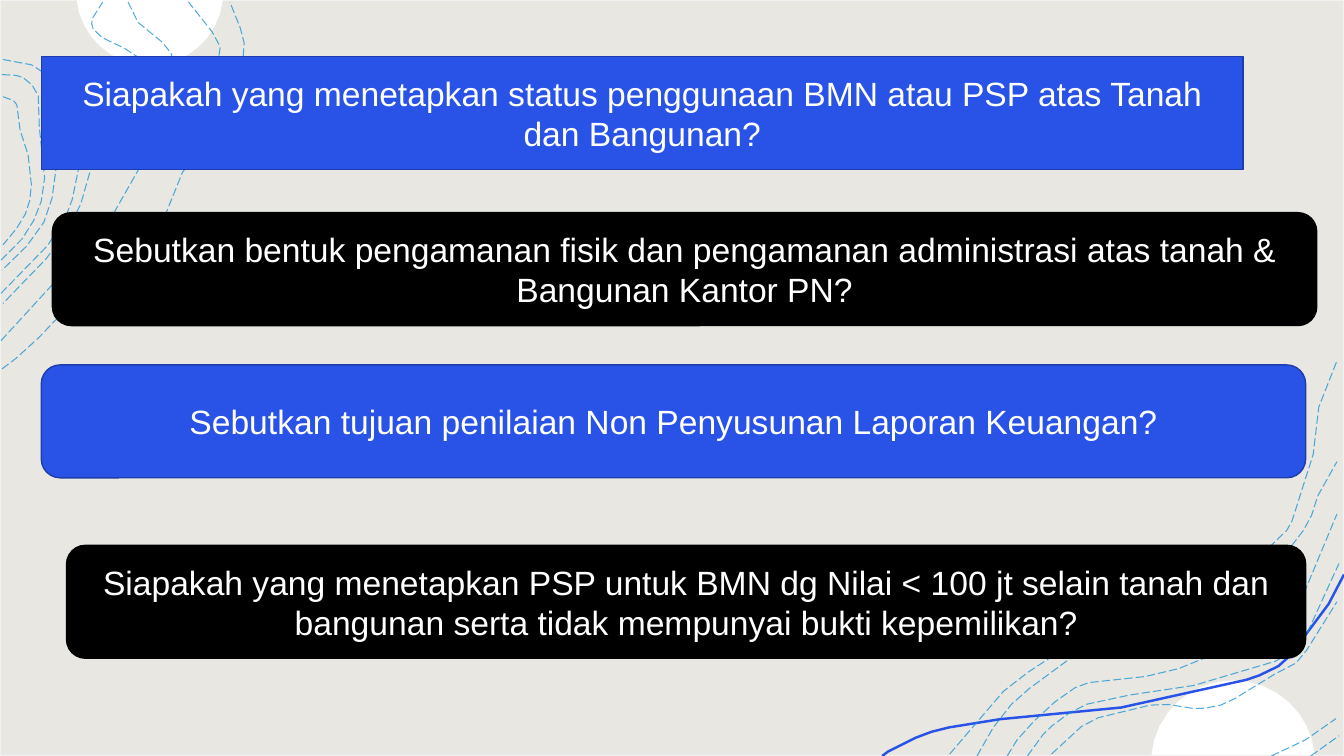
import math

from lxml import etree
from pptx import Presentation
from pptx.dml.color import RGBColor
from pptx.enum import dml, shapes, text
from pptx.oxml.ns import qn
from pptx.util import Inches, Pt

PAPER = RGBColor(0xE8, 0xE7, 0xE2)
PAPER_EDGE = RGBColor(0xF2, 0xF2, 0xF2)
WHITE = RGBColor(0xFF, 0xFF, 0xFF)
BLACK = RGBColor(0, 0, 0)
BLUE = RGBColor(0x29, 0x53, 0xE7)
DARK_BLUE = RGBColor(0x1E, 0x3D, 0xAB)
CONTOUR_BLUE = RGBColor(0x17, 0x91, 0xD5)

SLIDE_BOX = (0, 0, 13.33, 7.5)
RECT = shapes.MSO_SHAPE.RECTANGLE
ROUNDED = shapes.MSO_SHAPE.ROUNDED_RECTANGLE

# Points that each curve passes through, in inches from the slide corner
TOP_LEFT_CONTOURS = [
    [(0.02, 3.66), (0.2, 3.52), (0.55, 3.19), (0.66, 3.05), (0.86, 2.9), (1.11, 2.77),
     (1.27, 2.69), (1.41, 2.54), (1.6, 2.23), (1.81, 1.71), (2.01, 1.46), (2.19, 1.2),
     (2.36, 0.91), (2.42, 0.53), (2.4, 0.33), (2.28, 0.02)],
    [(0.01, 3.38), (0.21, 3.17), (0.5, 2.84), (0.73, 2.6), (1.08, 2.19), (1.37, 1.68),
     (1.54, 1.49), (1.83, 1.22), (2.06, 0.91), (2.18, 0.56), (2.14, 0.37), (1.87, 0.02)],
    [(1.27, 0.02), (1.35, 0.19), (1.41, 0.26), (1.65, 0.46), (1.74, 0.67), (1.69, 0.89),
     (1.55, 1.08), (1.36, 1.2), (1.16, 1.28), (1.04, 1.38), (0.95, 1.52), (0.88, 1.73),
     (0.78, 2.08), (0.6, 2.38), (0.42, 2.61), (0.03, 3.01)],
    [(0.01, 2.91), (0.35, 2.57), (0.56, 2.32), (0.7, 2.04), (0.78, 1.65), (0.84, 1.38),
     (0.92, 1.15), (1.01, 1.06), (1.24, 1.03), (1.4, 0.98), (1.51, 0.81), (1.49, 0.69),
     (1.38, 0.57), (1.2, 0.46), (0.98, 0.35), (0.91, 0.21), (1.02, 0.02)],
    [(0.03, 0.59), (0.28, 0.63), (0.44, 0.73), (0.52, 0.86), (0.55, 1.04), (0.55, 1.32),
     (0.56, 1.68), (0.48, 2.1), (0.31, 2.39), (0.02, 2.68)],
    [(0.02, 0.74), (0.23, 0.77), (0.38, 0.95), (0.39, 1.26), (0.43, 1.55), (0.44, 1.81),
     (0.38, 2.09), (0.22, 2.37), (0.01, 2.58)],
    [(0.03, 0.96), (0.15, 1.01), (0.18, 1.12), (0.2, 1.29), (0.28, 1.54), (0.31, 1.89),
     (0.23, 2.17), (0.03, 2.43)],
]
BOTTOM_RIGHT_CONTOURS = [
    [(9.42, 7.48), (9.71, 7.13), (10.02, 6.8), (10.56, 6.43), (10.78, 6.3), (10.98, 6.25),
     (11.13, 6.26), (11.37, 6.29), (11.55, 6.19), (11.73, 6.06), (12, 5.96), (12.24, 5.85),
     (12.4, 5.68), (12.61, 5.41), (12.79, 5.22), (12.92, 4.85), (13.04, 4.44),
     (13.08, 4.04), (13.26, 3.58)],
    [(9.69, 7.5), (9.85, 7.22), (10.08, 6.94), (10.49, 6.62), (10.75, 6.45), (11.03, 6.38),
     (11.22, 6.41), (11.45, 6.41), (11.64, 6.33), (11.95, 6.1), (12.18, 6), (12.5, 5.79),
     (12.86, 5.36), (13.01, 5.11), (13.07, 4.92), (13.26, 4.58)],
    [(13, 7.5), (13.28, 7.3)],
    [(12.61, 7.5), (12.95, 7.34), (13.25, 7.13)],
    [(10.43, 7.48), (10.63, 7.29), (10.84, 7.14), (11.19, 7.05), (11.45, 6.99), (11.71, 7),
     (11.88, 7.03), (12.17, 6.97), (12.64, 6.69), (12.9, 6.53), (13.26, 5.97)],
    [(10.19, 7.5), (10.39, 7.24), (10.72, 7.01), (11.07, 6.92), (11.49, 6.85), (11.84, 6.8),
     (12.52, 6.6), (12.71, 6.53), (12.88, 6.4), (13.03, 6.15), (13.28, 5.59)],
    [(9.99, 7.5), (10.12, 7.3), (10.42, 7), (10.71, 6.8), (11, 6.75), (11.43, 6.7),
     (11.84, 6.58), (12.44, 6.31), (12.68, 6.17), (12.85, 6), (12.99, 5.77), (13.26, 5.1)],
]
RIBBON = [(8.75, 7.5), (8.84, 7.44), (9.24, 7.26), (9.81, 7.15), (10.48, 7.08),
          (11.05, 7.03), (11.43, 6.95), (12.15, 6.79), (12.44, 6.72), (12.72, 6.58),
          (12.92, 6.34), (13.06, 6.16), (13.23, 5.91), (13.33, 5.7)]

QUESTIONS = [
    ((0.41, 0.56, 11.92, 1.12), RECT, BLUE, DARK_BLUE,
     "Siapakah yang menetapkan status penggunaan BMN atau PSP atas Tanah dan Bangunan?"),
    ((0.52, 2.11, 12.54, 1.12), ROUNDED, BLACK, BLACK,
     "Sebutkan bentuk pengamanan fisik dan pengamanan administrasi atas tanah & "
     "Bangunan Kantor PN?"),
    ((0.41, 3.62, 12.54, 1.12), ROUNDED, BLUE, DARK_BLUE,
     "Sebutkan tujuan penilaian Non Penyusunan Laporan Keuangan?"),
    ((0.66, 5.41, 12.29, 1.12), ROUNDED, BLACK, BLACK,
     "Siapakah yang menetapkan PSP untuk BMN dg Nilai < 100 jt selain tanah dan "
     "bangunan serta tidak mempunyai bukti kepemilikan?"),
]


def smooth(points, steps=6):
    """Return a Catmull-Rom curve through the points as short segments."""
    padded = [points[0], *points, points[-1]]
    curve = [points[0]]
    for a, b, c, d in zip(padded, padded[1:], padded[2:], padded[3:]):
        for t in (step / steps for step in range(1, steps + 1)):
            curve.append(tuple(
                q + ((r - p) * t + (2 * p - 5 * q + 4 * r - s) * t ** 2
                     + (3 * q - p - 3 * r + s) * t ** 3) / 2
                for p, q, r, s in zip(a, b, c, d)))
    return curve


def simplify(points, tolerance=0.01):
    """Drop points that lie within the tolerance of a straight segment."""
    (x0, y0), (x1, y1) = points[0], points[-1]
    dx, dy = x1 - x0, y1 - y0
    offsets = [abs(dx * (y - y0) - dy * (x - x0)) / math.hypot(dx, dy) for x, y in points]
    if max(offsets) < tolerance:
        return [points[0], points[-1]]
    cut = offsets.index(max(offsets))
    return simplify(points[:cut + 1])[:-1] + simplify(points[cut:])


def add_outline(parent, box, points, close=False):
    left, top = box[:2]
    start, *rest = [(Inches(left + x), Inches(top + y)) for x, y in points]
    builder = parent.build_freeform(*start)
    builder.add_line_segments(rest, close=close)
    outline = builder.convert_to_shape()
    outline.shadow.inherit = False
    return outline


def add_curve(parent, box, points, color, width):
    curve = add_outline(parent, box, simplify(smooth(points)))
    curve.fill.background()
    curve.line.color.rgb = color
    curve.line.width = Pt(width)
    return curve


def add_contours(slide, box, contours):
    group = slide.shapes.add_group_shape()
    for points in contours:
        contour = add_curve(group.shapes, box, points, CONTOUR_BLUE, 0.75)
        contour.line.dash_style = dml.MSO_LINE.LONG_DASH
        color = contour.line.fill._xPr.find(".//" + qn("a:srgbClr"))
        etree.SubElement(color, qn("a:alpha"), val="75000")


def add_cap(slide, box, flat_top):
    """Draw the part of a disc that fills the box, cut flat at top or bottom."""
    width, height = box[2:]
    radius = (width ** 2 / 4 + height ** 2) / (2 * height)
    first = math.asin((radius - height) / radius)
    points = []
    for step in range(17):
        angle = first + (math.pi - 2 * first) * step / 16
        depth = radius * math.sin(angle) - radius + height
        points.append((width / 2 + radius * math.cos(angle),
                       depth if flat_top else height - depth))
    cap = add_outline(slide.shapes, box, points, close=True)
    cap.fill.solid()
    cap.fill.fore_color.rgb = WHITE
    cap.line.fill.background()


def add_panel(slide, box, preset, fill, edge):
    panel = slide.shapes.add_shape(preset, *map(Inches, box))
    panel.shadow.inherit = False
    panel.fill.solid()
    panel.fill.fore_color.rgb = fill
    panel.line.color.rgb = edge
    panel.line.width = Pt(1)
    return panel


def add_backdrop(slide, box):
    add_panel(slide, box, RECT, PAPER, PAPER_EDGE)
    left, top = box[:2]
    add_cap(slide, (left + 0.76, top, 1.45, 0.65), flat_top=True)
    add_cap(slide, (left + 11.42, top + 6.75, 1.62, 0.74), flat_top=False)
    add_curve(slide.shapes, box, RIBBON, BLUE, 1.75)
    for contours in (TOP_LEFT_CONTOURS, BOTTOM_RIGHT_CONTOURS):
        add_contours(slide, box, contours)


def add_question(slide, box, preset, fill, edge, wording):
    frame = add_panel(slide, box, preset, fill, edge).text_frame
    frame.word_wrap = True
    frame.vertical_anchor = text.MSO_ANCHOR.MIDDLE
    paragraph = frame.paragraphs[0]
    paragraph.alignment = text.PP_ALIGN.CENTER
    run = paragraph.add_run()
    run.text = wording
    run.font.name = "Arial"
    run.font.size = Pt(24)
    run.font.color.rgb = WHITE


deck = Presentation()
deck.slide_width, deck.slide_height = map(Inches, SLIDE_BOX[2:])
questions_slide = deck.slides.add_slide(deck.slide_layouts[6])
add_backdrop(questions_slide, SLIDE_BOX)
for question in QUESTIONS:
    add_question(questions_slide, *question)
deck.save("out.pptx")
